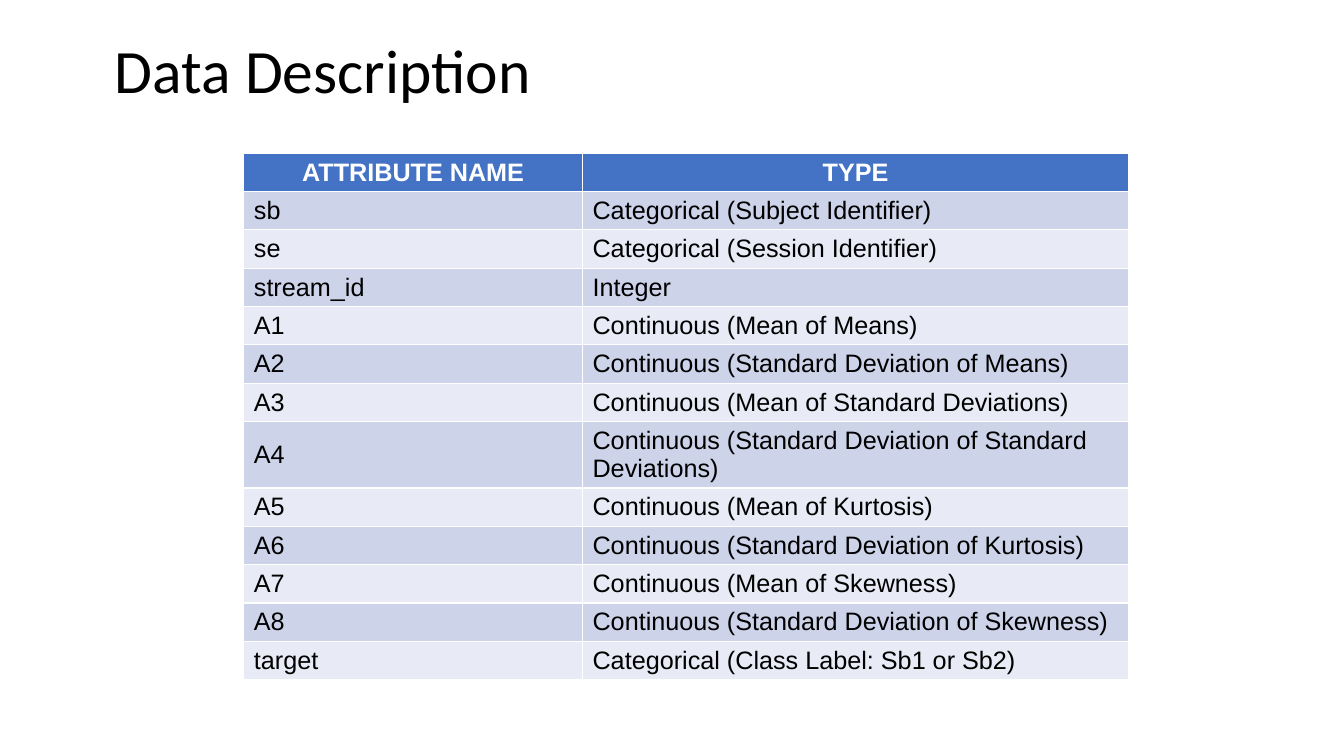
"""Build the Data Description slide with its attribute table."""
import pptx
import pptx.dml.color
import pptx.enum.text
import pptx.util

Pt = pptx.util.Pt
ALIGN = pptx.enum.text.PP_ALIGN
MIDDLE = pptx.enum.text.MSO_ANCHOR.MIDDLE
COLORS = {"text": "000000", "header": "4472C4", "header_text": "FFFFFF",
          "band_dark": "CDD4EA", "band_light": "E8EBF5"}


def write_text(frame, text, font="Arial", size=18, color="text", bold=False, align=ALIGN.LEFT):
    para = frame.paragraphs[0]
    para.alignment = align
    span = para.add_run()
    span.text = text
    span.font.name = font
    span.font.size = Pt(size)
    span.font.bold = bold
    span.font.color.rgb = pptx.dml.color.RGBColor.from_string(COLORS[color])
    return para


deck = pptx.Presentation()
deck.slide_width, deck.slide_height = Pt(960), Pt(540)
page = deck.slides.add_slide(deck.slide_layouts[5])

title = page.shapes.title
title.left, title.top, title.width, title.height = Pt(74.9), Pt(0), Pt(828), Pt(104.4)
title.text_frame.vertical_anchor = MIDDLE
heading = write_text(title.text_frame, "Data Description", font="Calibri", size=44)
heading.line_spacing = 0.9

attributes = [
    ("ATTRIBUTE NAME", "TYPE"),
    ("sb", "Categorical (Subject Identifier)"),
    ("se", "Categorical (Session Identifier)"),
    ("stream_id", "Integer"),
    ("A1", "Continuous (Mean of Means)"),
    ("A2", "Continuous (Standard Deviation of Means)"),
    ("A3", "Continuous (Mean of Standard Deviations)"),
    ("A4", "Continuous (Standard Deviation of Standard Deviations)"),
    ("A5", "Continuous (Mean of Kurtosis)"),
    ("A6", "Continuous (Standard Deviation of Kurtosis)"),
    ("A7", "Continuous (Mean of Skewness)"),
    ("A8", "Continuous (Standard Deviation of Skewness)"),
    ("target", "Categorical (Class Label: Sb1 or Sb2)"),
]
column_widths = [241.9, 390.2]
row_height, tall_row_height = 27.36, 47.2
table_height = row_height * (len(attributes) - 1) + tall_row_height

table = page.shapes.add_table(len(attributes), len(column_widths), Pt(174.2), Pt(109.4),
                              Pt(sum(column_widths)), Pt(table_height)).table
for column, width in zip(table.columns, column_widths):
    column.width = Pt(width)

for row_index, (row, values) in enumerate(zip(table.rows, attributes)):
    row.height = Pt(tall_row_height if values[0] == "A4" else row_height)
    is_header = row_index == 0
    band = "header" if is_header else "band_dark" if row_index % 2 else "band_light"
    for cell, value in zip(row.cells, values):
        cell.vertical_anchor = MIDDLE
        cell.fill.solid()
        cell.fill.fore_color.rgb = pptx.dml.color.RGBColor.from_string(COLORS[band])
        write_text(cell.text_frame, value, bold=is_header,
                   color="header_text" if is_header else "text",
                   align=ALIGN.CENTER if is_header else ALIGN.LEFT)

deck.save("out.pptx")
